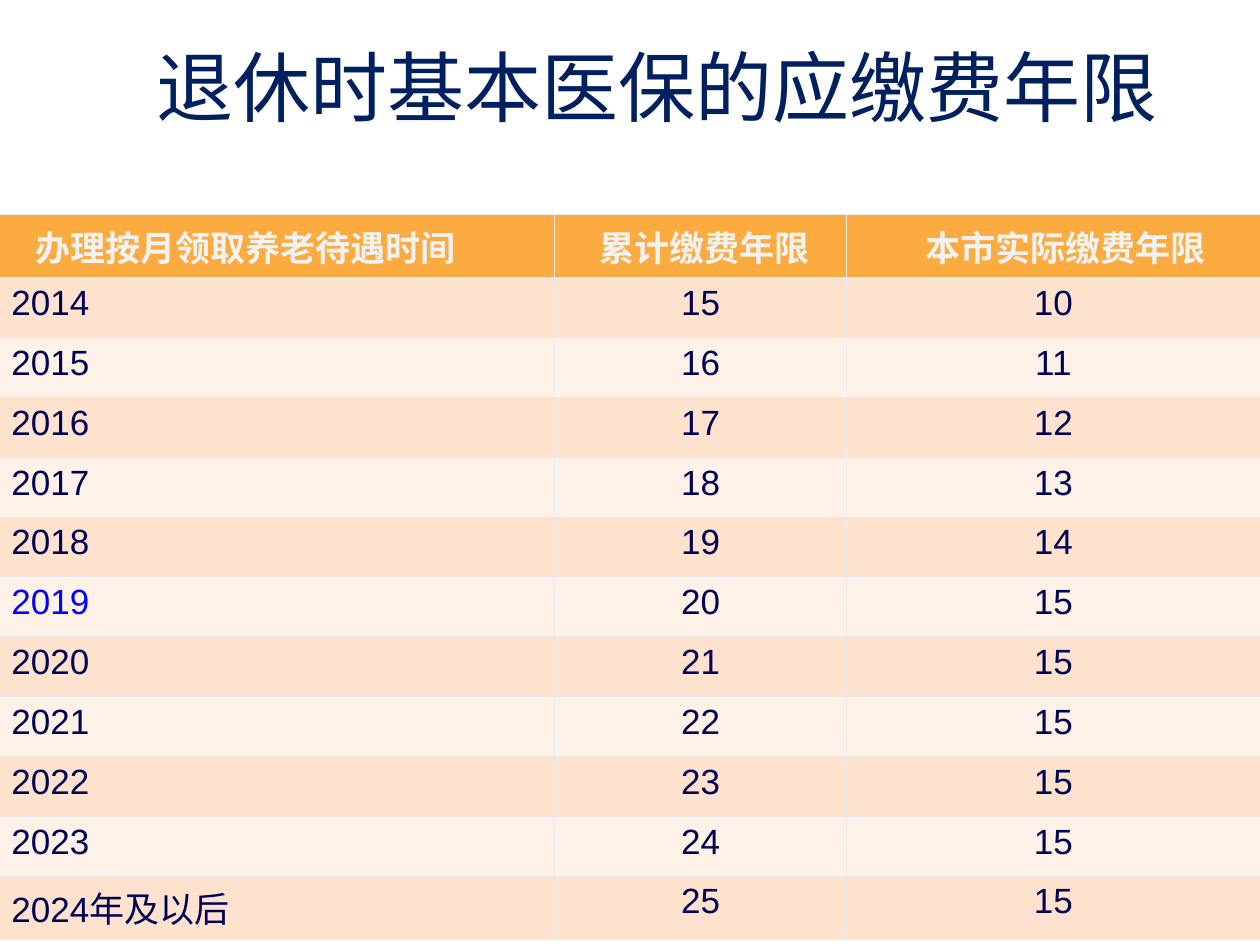
"""Builds a slide with a table of contribution years required for basic medical insurance at retirement."""
from lxml import etree
from pptx import Presentation
from pptx import util as u
from pptx.dml import color
from pptx.enum import text
from pptx.oxml import ns


def add_span(para, words, size, hex_color, bold=False):
    span = para.add_run()
    span.text = words
    span.font.name = "Arial"
    span.font.size = u.Pt(size)
    span.font.bold = bold
    span.font.color.rgb = color.RGBColor.from_string(hex_color)


def add_border(cell, side, points):
    line = etree.Element(ns.qn(f"a:ln{side}"), w=str(u.Pt(points)))
    fill = etree.SubElement(line, ns.qn("a:solidFill"))
    etree.SubElement(fill, ns.qn("a:srgbClr"), val="EAEAEA")
    cell_format = cell._tc.get_or_add_tcPr()
    cell_format.insert("LRTB".index(side), line)


deck = Presentation()
deck.slide_width = u.Inches(10)
deck.slide_height = u.Inches(7.5)
page = deck.slides.add_slide(deck.slide_layouts[5])

title = page.shapes.title
title.left, title.top = u.Inches(1.14), u.Inches(0.21)
title.width, title.height = u.Inches(9.21), u.Inches(0.89)
title.text_frame.auto_size = text.MSO_AUTO_SIZE.NONE
title.text_frame.vertical_anchor = text.MSO_ANCHOR.BOTTOM
para = title.text_frame.paragraphs[0]
para.alignment = text.PP_ALIGN.LEFT
add_span(para, "退休时基本医保的应缴费年限", 44, "002060")

headings = ["办理按月领取养老待遇时间", "累计缴费年限", "本市实际缴费年限"]
heading_margins = [0.29, 0.16, 0.29]
rows = [headings]
for year in range(2014, 2025):
    label = "2024年及以后" if year == 2024 else str(year)
    rows.append([label, str(year - 1999), str(min(year - 2004, 15))])

frame = page.shapes.add_table(
    len(rows), len(headings), u.Inches(-0.01), u.Inches(1.7), u.Inches(10), u.Inches(5.7)
)
table = frame.table
for column, width in zip(table.columns, [4.41, 2.32, 3.28]):
    column.width = u.Inches(width)

for row_index, row in enumerate(rows):
    is_heading = row_index == 0
    band = "FCAB40" if is_heading else ["FEF1E8", "FEE2CE"][row_index % 2]
    for column_index, words in enumerate(row):
        cell = table.cell(row_index, column_index)
        cell.fill.solid()
        cell.fill.fore_color.rgb = color.RGBColor.from_string(band)
        for side in "LRTB":
            heavy = (row_index, side) in [(0, "B"), (1, "T")]
            add_border(cell, side, 1.47 if heavy else 0.45)
        if is_heading:
            cell.margin_left = u.Inches(heading_margins[column_index])
        ink = "F2F2F2" if is_heading else "0000FF" if words == "2019" else "000054"
        para = cell.text_frame.paragraphs[0]
        para.alignment = text.PP_ALIGN.CENTER if column_index else text.PP_ALIGN.LEFT
        add_span(para, words, 20, ink, is_heading)

deck.save("out.pptx")
